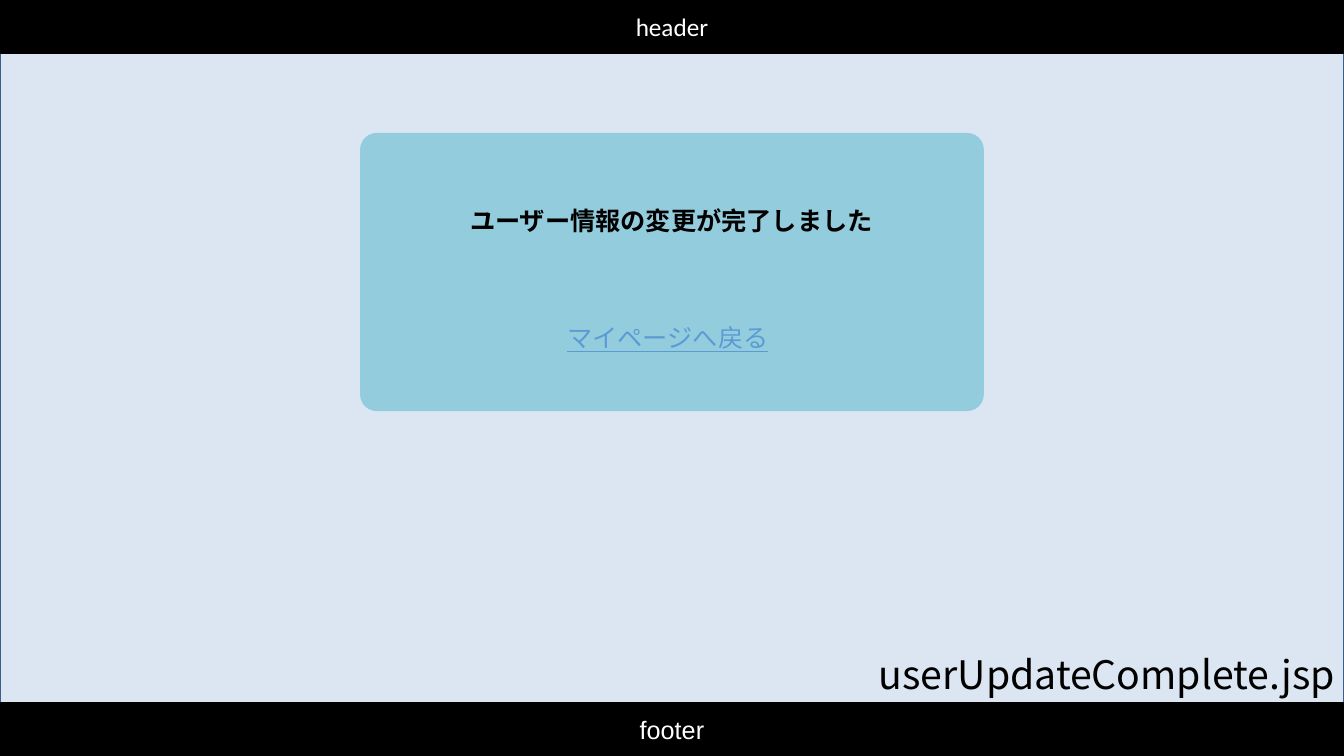
from lxml.etree import SubElement
from pptx import Presentation
from pptx.dml.color import RGBColor
from pptx.enum.shapes import MSO_SHAPE
from pptx.enum.text import MSO_ANCHOR, PP_ALIGN
from pptx.oxml.ns import qn
from pptx.util import Cm, Pt

BLACK = RGBColor(0x00, 0x00, 0x00)
WHITE = RGBColor(0xFF, 0xFF, 0xFF)
PALE_BLUE = RGBColor(0xDC, 0xE6, 0xF2)
BORDER_BLUE = RGBColor(0x3A, 0x5F, 0x8C)
CARD_BLUE = RGBColor(0x93, 0xCD, 0xDD)
LINK_BLUE = RGBColor(0x5B, 0x9B, 0xD5)
JAPANESE_FONT = "Noto Sans CJK JP"

WIDTH, HEIGHT, BAR_HEIGHT = 33.87, 19.05, 1.33
CARD_WIDTH, CARD_HEIGHT, CARD_TOP = 15.72, 7.01, 3.35

BARS = [
    ("header", "Calibri", 0),
    ("footer", "Arial", HEIGHT - BAR_HEIGHT),
]
LABELS = [
    dict(text="userUpdateComplete.jsp", box=(21.9, 16.26, 11.97, 1.45), size=28,
         right_margin=0),
    dict(text="ユーザー情報の変更が完了しました", box=(11.28, 5.05, 11.28, 1.02),
         align=PP_ALIGN.CENTER, bold=True),
    dict(text="マイページへ戻る", box=(14.05, 8, 5.77, 1.02),
         color=LINK_BLUE, underline=True),
]

presentation = Presentation()
presentation.slide_width = Cm(WIDTH)
presentation.slide_height = Cm(HEIGHT)
slide = presentation.slides.add_slide(presentation.slide_layouts[6])


def add_panel(kind, box, fill, line=None):
    shape = slide.shapes.add_shape(kind, *map(Cm, box))
    shape.shadow.inherit = False
    shape.fill.solid()
    shape.fill.fore_color.rgb = fill
    if line is None:
        shape.line.fill.background()
    else:
        shape.line.color.rgb = line
        shape.line.width = Pt(2)
    return shape


def write(shape, text, font, size=18, color=BLACK, align=PP_ALIGN.LEFT,
          bold=False, underline=False, right_margin=0.25):
    shape.text_frame.word_wrap = True
    shape.text_frame.margin_right = Cm(right_margin)
    paragraph = shape.text_frame.paragraphs[0]
    paragraph.alignment = align
    run = paragraph.add_run()
    run.text = text
    run.font.name = font
    run.font.size = Pt(size)
    run.font.color.rgb = color
    run.font.bold = bold
    run.font.underline = underline
    SubElement(run.font._element, qn("a:ea")).set("typeface", font)


add_panel(MSO_SHAPE.RECTANGLE, (0, BAR_HEIGHT, WIDTH, HEIGHT - 2 * BAR_HEIGHT),
          PALE_BLUE, BORDER_BLUE)
card = add_panel(MSO_SHAPE.ROUNDED_RECTANGLE,
                 ((WIDTH - CARD_WIDTH) / 2, CARD_TOP, CARD_WIDTH, CARD_HEIGHT), CARD_BLUE)
card.adjustments[0] = 0.06

for text, font, top in BARS:
    bar = add_panel(MSO_SHAPE.RECTANGLE, (0, top, WIDTH, BAR_HEIGHT), BLACK, BLACK)
    bar.text_frame.vertical_anchor = MSO_ANCHOR.MIDDLE
    write(bar, text, font, color=WHITE, align=PP_ALIGN.CENTER)

for label in LABELS:
    style = {key: value for key, value in label.items() if key != "box"}
    write(slide.shapes.add_textbox(*map(Cm, label["box"])), font=JAPANESE_FONT, **style)

presentation.save("out.pptx")
